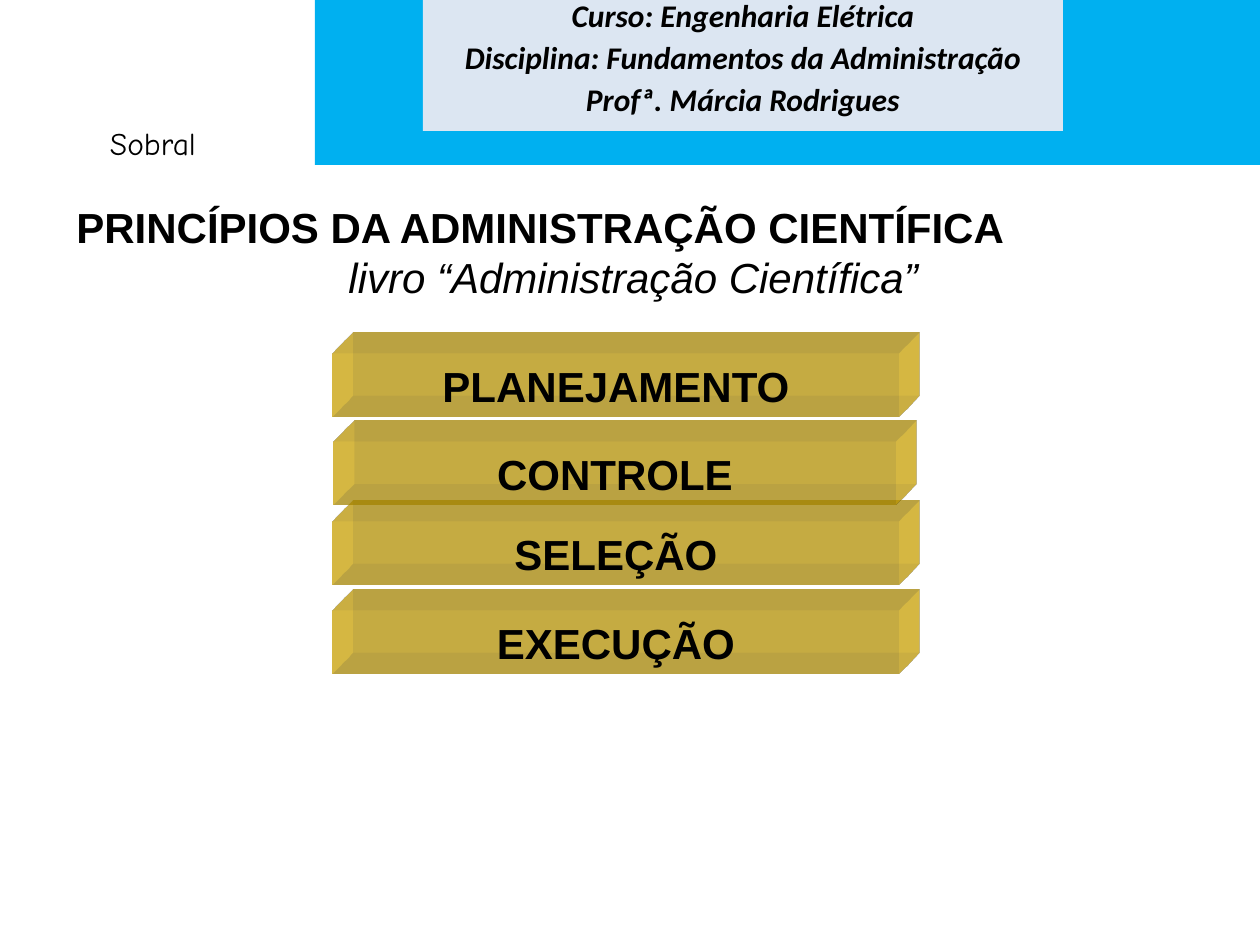
"""Build the slide on the principles of scientific management."""
import pptx
import pptx.dml.color
import pptx.enum.shapes
import pptx.enum.text
import pptx.oxml
import pptx.oxml.ns
import pptx.util

RGBColor = pptx.dml.color.RGBColor
ALIGN = pptx.enum.text.PP_ALIGN

BLACK = RGBColor(0x00, 0x00, 0x00)
SKY = RGBColor(0x00, 0xB0, 0xF0)
PALE_BLUE = RGBColor(0xDC, 0xE6, 0xF2)
GOLD = RGBColor(0xFF, 0xCC, 0x00)

COURSE_LINES = [
    "Curso: Engenharia Elétrica",
    "Disciplina: Fundamentos da Administração",
    "Profª. Márcia Rodrigues",
]
CAMPUS = "Sobral"
TITLE_LINES = [
    "PRINCÍPIOS DA ADMINISTRAÇÃO CIENTÍFICA",
    "livro “Administração Científica” ",
]
PRINCIPLES = [
    ("PLANEJAMENTO", (333, 354, 566, 63)),
    ("SELEÇÃO", (333, 522, 566, 63)),
    ("CONTROLE", (334, 442, 562, 63)),
    ("EXECUÇÃO", (333, 611, 566, 63)),
]

PX = 914400 / 126
DEPTH_XML = (
    '<a:scene3d %s><a:camera prst="legacyObliqueTopRight"/>'
    '<a:lightRig rig="legacyFlat3" dir="b"/></a:scene3d>',
    '<a:sp3d %s extrusionH="430200" prstMaterial="legacyMatte">'
    '<a:bevelT w="13500" h="13500" prst="angle"/>'
    '<a:bevelB w="13500" h="13500" prst="angle"/>'
    '<a:extrusionClr><a:srgbClr val="FFCC00"/></a:extrusionClr></a:sp3d>',
)


def emu(box):
    return [round(length * PX) for length in box]


def add_block(slide, box, fill):
    block = slide.shapes.add_shape(pptx.enum.shapes.MSO_SHAPE.RECTANGLE, *emu(box))
    block.fill.solid()
    block.fill.fore_color.rgb = fill
    block.line.fill.background()
    block.shadow.inherit = False
    return block


def write(shape, lines, font, size, bold=False, italic=False):
    frame = shape.text_frame
    frame.text = "\n".join(lines)
    frame.word_wrap = True
    frame.auto_size = pptx.enum.text.MSO_AUTO_SIZE.SHAPE_TO_FIT_TEXT
    frame.vertical_anchor = pptx.enum.text.MSO_ANCHOR.TOP
    for paragraph in frame.paragraphs:
        paragraph.alignment = ALIGN.CENTER
        for run in paragraph.runs:
            run.font.name = font
            run.font.size = pptx.util.Pt(size)
            run.font.bold = bold
            run.font.italic = italic
            run.font.color.rgb = BLACK
    return frame.paragraphs


def add_depth(block):
    namespace = pptx.oxml.ns.nsdecls("a")
    properties = block._element.spPr
    color = properties.find(".//" + pptx.oxml.ns.qn("a:srgbClr"))
    color.append(pptx.oxml.parse_xml('<a:alpha %s val="50000"/>' % namespace))
    for part in DEPTH_XML:
        properties.append(pptx.oxml.parse_xml(part % namespace))


def main():
    deck = pptx.Presentation()
    deck.slide_width, deck.slide_height = emu((1260, 945))
    slide = deck.slides.add_slide(deck.slide_layouts[6])

    add_block(slide, (315, 0, 945, 165), SKY)
    course = add_block(slide, (423, 0, 640, 131), PALE_BLUE)
    for line in write(course, COURSE_LINES, "Calibri", 18, bold=True, italic=True):
        line.line_spacing = 0.7
        line.space_before = pptx.util.Pt(9)

    campus = slide.shapes.add_textbox(*emu((20, 118, 266, 50)))
    write(campus, [CAMPUS], "Comic Neue", 18)

    for principle, box in PRINCIPLES:
        bar = add_block(slide, box, GOLD)
        write(bar, [principle], "Arial", 24, bold=True)
        add_depth(bar)

    title = slide.shapes.add_textbox(*emu((64, 195, 1150, 113)))
    heading, book = write(title, TITLE_LINES, "Arial", 24)
    heading.alignment = ALIGN.LEFT
    heading.runs[0].font.bold = True
    book.runs[0].font.italic = True

    deck.save("out.pptx")


if __name__ == "__main__":
    main()
